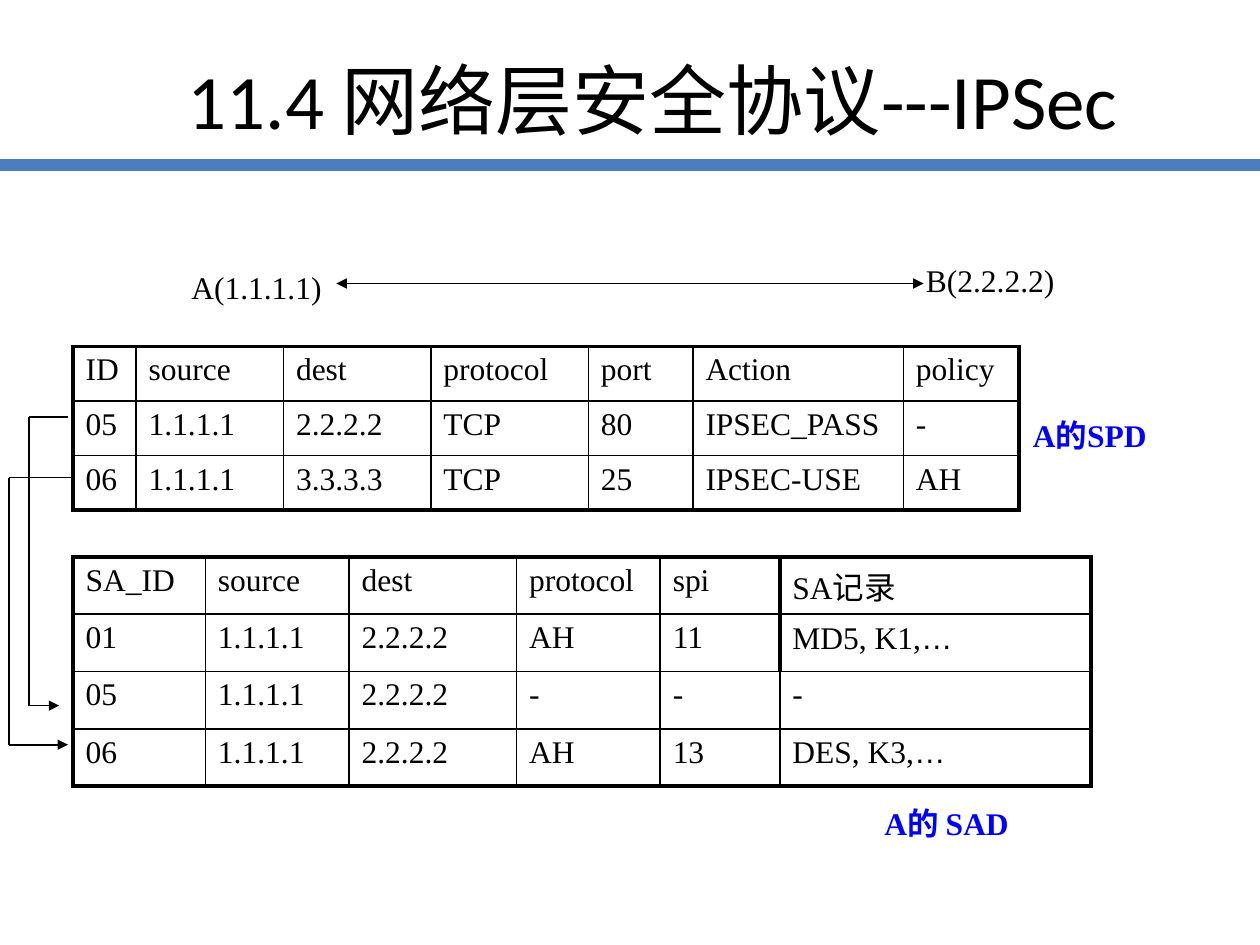
from dataclasses import dataclass

from lxml.etree import SubElement
from pptx import Presentation
from pptx.dml.color import RGBColor
from pptx.enum.shapes import MSO_CONNECTOR
from pptx.enum.text import MSO_ANCHOR, PP_ALIGN
from pptx.oxml.ns import qn
from pptx.util import Inches, Pt


@dataclass(frozen=True)
class Theme:
    ink: str = "000000"
    accent: str = "0000FF"
    rule: str = "4B7EBC"
    title_font: str = "Calibri"
    body_font: str = "Times New Roman"
    cjk_font: str = "Lato"
    symbol_font: str = "Arial"
    title_size: float = 44
    body_size: float = 18
    thin: float = 1
    thick: float = 2.25
    rule_width: float = 7


THEME = Theme()

SPD_COLUMNS = [0.5, 1.17, 1.17, 1.25, 0.83, 1.67, 0.92]
SPD_ROWS = [
    ["ID", "source", "dest", "protocol", "port", "Action", "policy"],
    ["05", "1.1.1.1", "2.2.2.2", "TCP", "80", "IPSEC_PASS", "-"],
    ["06", "1.1.1.1", "3.3.3.3", "TCP", "25", "IPSEC-USE", "AH"],
]
SAD_COLUMNS = [1.05, 1.14, 1.33, 1.14, 0.95, 2.47]
ELLIPSIS = ("…", THEME.symbol_font)
SAD_ROWS = [
    ["SA_ID", "source", "dest", "protocol", "spi",
     [("SA", THEME.body_font), ("记录", THEME.cjk_font)]],
    ["01", "1.1.1.1", "2.2.2.2", "AH", "11",
     [("MD5, K1,", THEME.body_font), ELLIPSIS]],
    ["05", "1.1.1.1", "2.2.2.2", "-", "-", "-"],
    ["06", "1.1.1.1", "2.2.2.2", "AH", "13",
     [("DES, K3,", THEME.body_font), ELLIPSIS]],
]
# Row and column of the cells whose left edge is heavy
SAD_HEAVY_LEFT = {(0, 5), (1, 5)}


def write(paragraph, content, font=THEME.body_font, size=THEME.body_size,
          color=THEME.ink, bold=False):
    """Fill a paragraph from a string or from (text, font) pairs."""
    runs = [(content, font)] if isinstance(content, str) else content
    for text, name in runs:
        run = paragraph.add_run()
        run.text = text
        settings = {"name": name, "size": Pt(size), "bold": bold}
        for key, value in settings.items():
            setattr(run.font, key, value)
        run.font.color.rgb = RGBColor.from_string(color)


def add_label(slide, box, text, align=PP_ALIGN.LEFT, anchor=MSO_ANCHOR.TOP, **style):
    frame = slide.shapes.add_textbox(*map(Inches, box)).text_frame
    frame.word_wrap = True
    frame.vertical_anchor = anchor
    frame.paragraphs[0].alignment = align
    write(frame.paragraphs[0], text, **style)


def add_line(slide, start, end, color=THEME.ink, width=THEME.thin, arrows=()):
    """Draw a straight line; arrows may name headEnd and tailEnd."""
    line = slide.shapes.add_connector(
        MSO_CONNECTOR.STRAIGHT, *map(Inches, (*start, *end)))
    line.line.color.rgb = RGBColor.from_string(color)
    line.line.width = Pt(width)
    for arrow in arrows:
        SubElement(line.line._get_or_add_ln(), qn(f"a:{arrow}"), type="triangle")
    SubElement(line._element.spPr, qn("a:effectLst"))


def set_borders(cell, widths):
    properties = cell._tc.get_or_add_tcPr()
    for side in ("L", "R", "T", "B"):
        border = SubElement(properties, qn(f"a:ln{side}"), w=str(Pt(widths[side])))
        fill = SubElement(border, qn("a:solidFill"))
        SubElement(fill, qn("a:srgbClr"), val=THEME.ink)


def add_database(slide, box, columns, rows, heavy_left=frozenset()):
    """Draw a grid with a heavy frame and thin inner lines."""
    last_row, last_column = len(rows) - 1, len(columns) - 1
    table = slide.shapes.add_table(
        len(rows), len(columns), *map(Inches, box)).table
    table.first_row = table.horz_banding = False
    for column, width in zip(table.columns, columns):
        column.width = Inches(width)
    for row in table.rows:
        row.height = Inches(box[3] / len(rows))
    for r, values in enumerate(rows):
        for c, value in enumerate(values):
            heavy = {
                "L": c == 0 or (r, c) in heavy_left,
                "R": c == last_column or (r, c + 1) in heavy_left,
                "T": r == 0,
                "B": r == last_row,
            }
            cell = table.cell(r, c)
            set_borders(cell, {side: THEME.thick if is_heavy else THEME.thin
                               for side, is_heavy in heavy.items()})
            cell.fill.background()
            write(cell.text_frame.paragraphs[0], value)


def add_lookup(slide, start, bend_x, end):
    """Lead from an SPD row round the left side to its SAD row."""
    upper, lower = (bend_x, start[1]), (bend_x, end[1])
    add_line(slide, start, upper)
    add_line(slide, upper, lower)
    add_line(slide, lower, end, arrows=["tailEnd"])


def add_heading(slide, box):
    add_line(slide, (0, 1.31), (10, 1.31), THEME.rule, THEME.rule_width)
    add_label(slide, box, "11.4 网络层安全协议---IPSec", PP_ALIGN.CENTER,
              MSO_ANCHOR.MIDDLE, font=THEME.title_font, size=THEME.title_size)


def add_hosts(slide, box):
    left, top, width, height = box
    label_width = 1.25
    right = left + width - label_width
    add_label(slide, (left, top + 0.06, label_width, height), "A(1.1.1.1)")
    add_label(slide, (right, top, label_width, height), "B(2.2.2.2)")
    arrow_y = top + 0.23
    add_line(slide, (left + label_width, arrow_y), (right + 0.08, arrow_y),
             arrows=["headEnd", "tailEnd"])


def main():
    presentation = Presentation()
    presentation.slide_width = Inches(10)
    presentation.slide_height = Inches(7.5)
    slide = presentation.slides.add_slide(presentation.slide_layouts[6])

    add_heading(slide, (0.92, 0.23, 8.52, 1.1))
    add_hosts(slide, (1.42, 2.02, 7.08, 0.4))
    add_database(slide, (0.58, 2.75, 7.5, 1.3), SPD_COLUMNS, SPD_ROWS)
    add_database(slide, (0.58, 4.42, 8.08, 1.82), SAD_COLUMNS, SAD_ROWS,
                 SAD_HEAVY_LEFT)
    caption = {"color": THEME.accent, "bold": True}
    add_label(slide, (8.1, 3.25, 1.24, 0.4), "A的SPD", **caption)
    add_label(slide, (6.92, 6.33, 1.42, 0.4), "A的 SAD", **caption)
    add_lookup(slide, (0.54, 3.31), 0.23, (0.47, 5.6))
    add_lookup(slide, (0.58, 3.79), 0.07, (0.54, 5.91))

    presentation.save("out.pptx")


if __name__ == "__main__":
    main()
